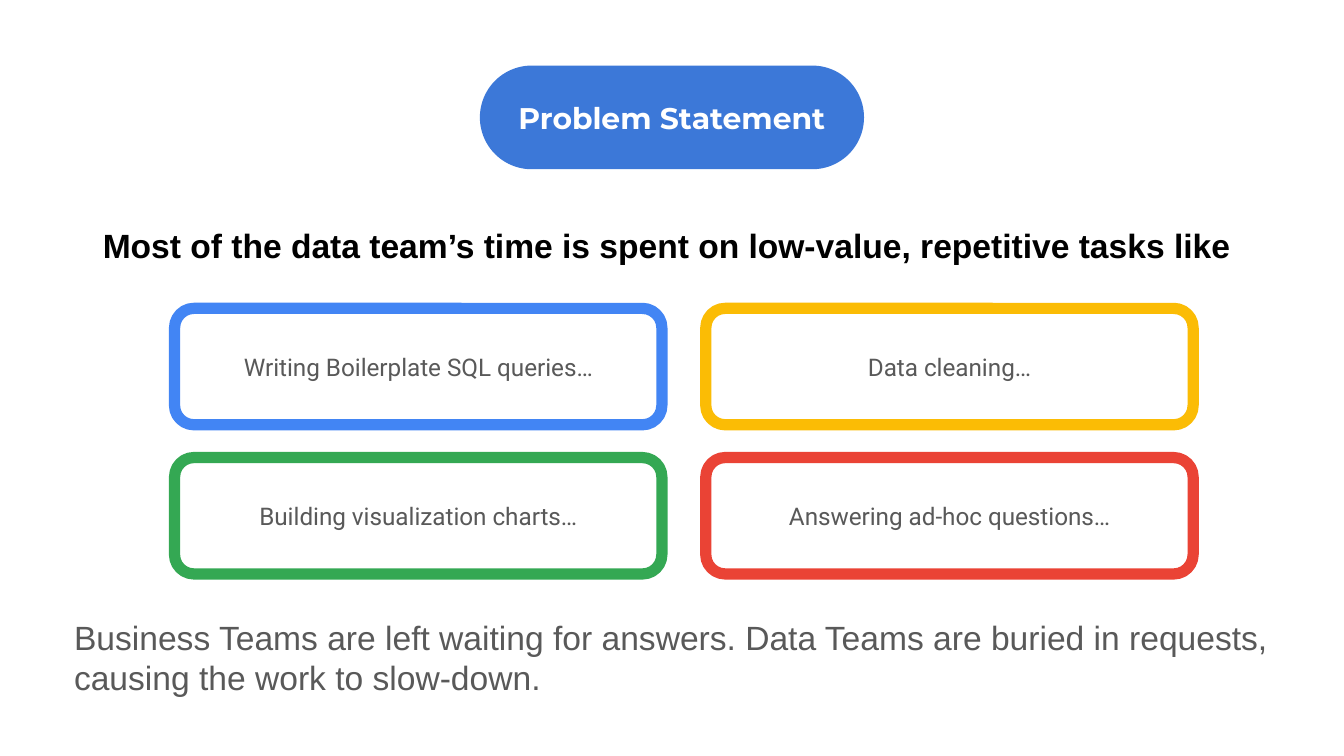
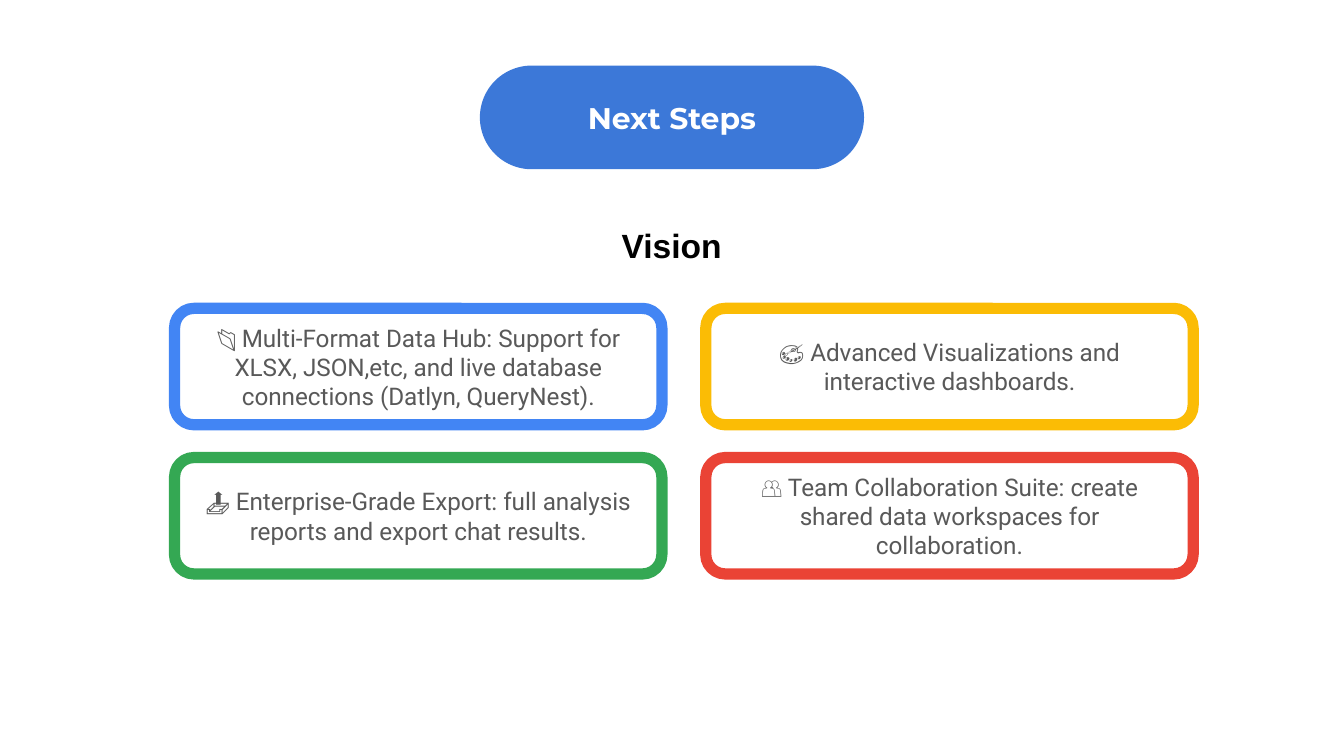
from pptx import Presentation
from pptx.dml.color import RGBColor
from pptx.enum.shapes import MSO_SHAPE
from pptx.enum.text import MSO_ANCHOR, PP_ALIGN
from pptx.util import Cm, Pt

ROUND = MSO_SHAPE.ROUNDED_RECTANGLE
TOP, MIDDLE = MSO_ANCHOR.TOP, MSO_ANCHOR.MIDDLE
LEFT, CENTER = PP_ALIGN.LEFT, PP_ALIGN.CENTER

# Shared look
WHITE, BLACK, GREY, BLUE = "FFFFFF", "000000", "595959", "3C78D8"
EDGES = ["4285F4", "FBBC05", "34A853", "EA4335"]
TITLE = {"name": "Montserrat", "size": Pt(16), "bold": True}
HEAD = {"name": "Arial", "size": Pt(18), "bold": True}
CARD = {"name": "Roboto", "size": Pt(13)}
NOTE = {"name": "Arial", "size": Pt(18)}

# Card grid, in cm
GRID_X, GRID_Y = 3.3, 5.83
CARD_W, CARD_H = 9.21, 2.2
STEP_X, STEP_Y = 10.04, 2.82

# Cards run row by row
SLIDES = [
    {
        "title": "Problem Statement",
        "head": "Most of the data team’s time is spent on low-value, repetitive tasks like ",
        "cards": [
            "Writing Boilerplate SQL queries…",
            "Data cleaning…",
            "Building visualization charts…",
            "Answering ad-hoc questions…",
        ],
        "note": "Business Teams are left waiting for answers. Data Teams are buried "
                "in requests, causing the work to slow-down.",
    },
    {
        "title": "Next Steps",
        "head": "Vision",
        "cards": [
            "📂 Multi-Format Data Hub: Support for XLSX, JSON,etc, and live database "
            "connections (Datlyn, QueryNest).",
            "🎨 Advanced Visualizations and interactive dashboards.",
            "📤 Enterprise-Grade Export: full analysis reports and export chat results.",
            "👥 Team Collaboration Suite: create shared data workspaces for collaboration.",
        ],
    },
]


def rgb(code):
    return RGBColor.from_string(code)


def write(shape, text, style, color, align=CENTER, anchor=TOP):
    frame = shape.text_frame
    layout = {"word_wrap": True, "vertical_anchor": anchor}
    for side in ("left", "right", "top", "bottom"):
        layout["margin_" + side] = Cm(0.25)
    for key, value in layout.items():
        setattr(frame, key, value)
    para = frame.paragraphs[0]
    para.alignment = align
    run = para.add_run()
    run.text = text
    for key, value in style.items():
        setattr(run.font, key, value)
    run.font.color.rgb = rgb(color)
    return frame


prs = Presentation()
prs.slide_width, prs.slide_height = Cm(25.4), Cm(14.29)

for data in SLIDES:
    slide = prs.slides.add_slide(prs.slide_layouts[6])
    shapes = slide.shapes

    # Heading above the cards
    box = shapes.add_textbox(Cm(0.86), Cm(3.2), Cm(23.67), Cm(9.5))
    frame = write(box, data["head"], HEAD, BLACK)
    frame.margin_top = Cm(1.24)
    frame.paragraphs[0].line_spacing = 1.15

    # Title pill
    pill = shapes.add_shape(ROUND, Cm(9.07), Cm(1.24), Cm(7.26), Cm(1.96))
    pill.shadow.inherit = False
    pill.adjustments[0] = 0.5
    pill.fill.solid()
    pill.fill.fore_color.rgb = rgb(BLUE)
    pill.line.fill.background()
    write(pill, data["title"], TITLE, WHITE, anchor=MIDDLE)

    # Cards, two by two
    for i, (text, edge) in enumerate(zip(data["cards"], EDGES)):
        row, col = divmod(i, 2)
        card = shapes.add_shape(ROUND, Cm(GRID_X + col * STEP_X), Cm(GRID_Y + row * STEP_Y),
                                Cm(CARD_W), Cm(CARD_H))
        card.shadow.inherit = False
        card.fill.solid()
        card.fill.fore_color.rgb = rgb(WHITE)
        card.line.color.rgb = rgb(edge)
        card.line.width = Pt(6)
        write(card, text, CARD, GREY, anchor=MIDDLE)

    # Closing note
    if "note" in data:
        box = shapes.add_textbox(Cm(1.15), Cm(11.41), Cm(23.39), Cm(1.73))
        write(box, data["note"], NOTE, GREY, align=LEFT)

prs.save("out.pptx")
